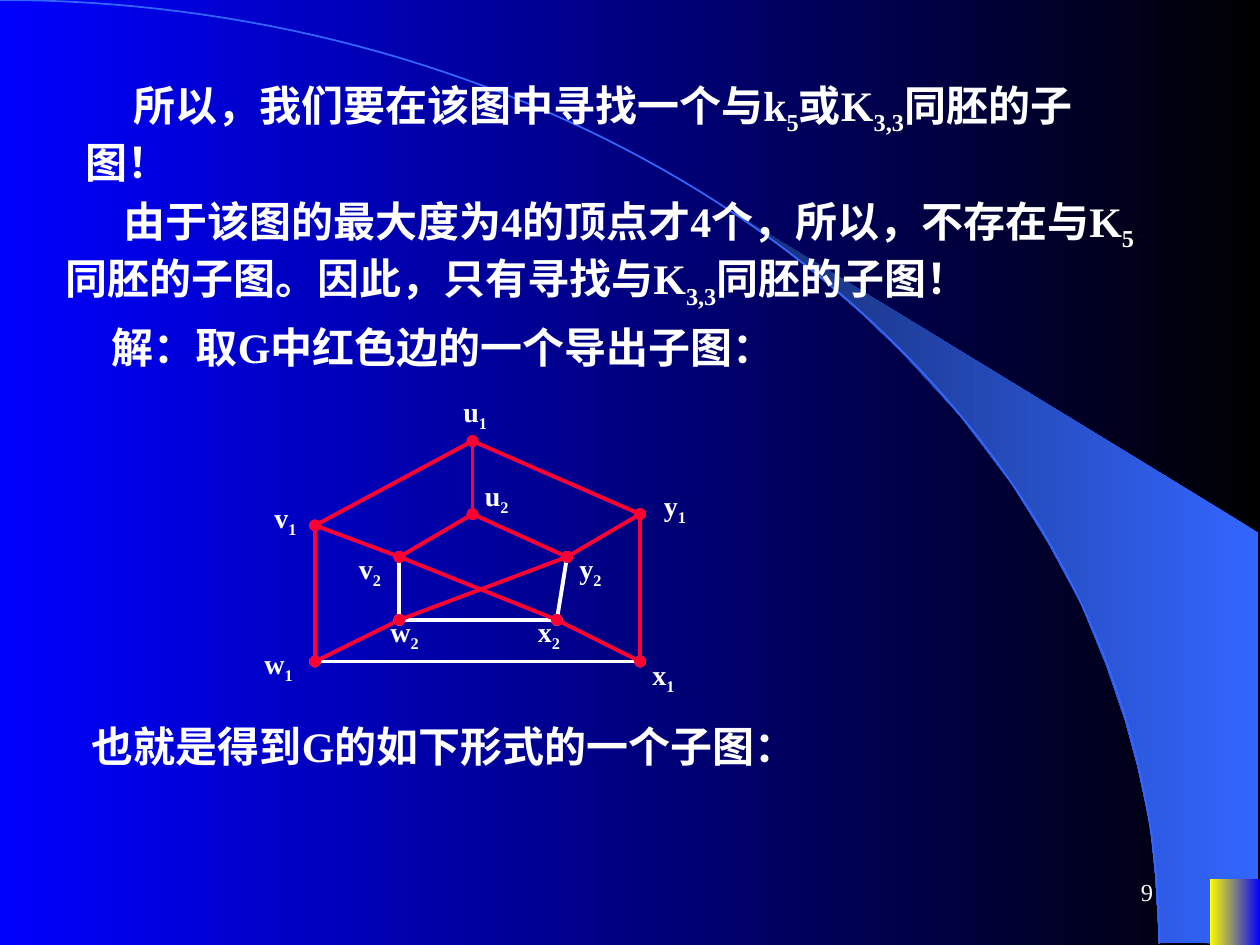
from math import cos, pi, sin

from lxml.etree import SubElement
from pptx import Presentation
from pptx.dml.color import RGBColor
from pptx.enum.shapes import MSO_CONNECTOR, MSO_SHAPE
from pptx.enum.text import MSO_ANCHOR, PP_ALIGN
from pptx.oxml.ns import qn
from pptx.util import Inches, Pt

WHITE, RED, BLUE = "FFFFFF", "FF0033", "3366FF"

VERTICES = {
    "u1": (1.75, 0.42), "u2": (1.75, 1), "v1": (0.5, 1.09), "v2": (1.17, 1.34),
    "w1": (0.5, 2.17), "w2": (1.17, 1.84), "x1": (3.08, 2.17), "x2": (2.42, 1.84),
    "y1": (3.08, 1), "y2": (2.5, 1.34),
}
LABELS = {
    "u1": (1.58, 0), "u2": (1.75, 0.67), "v1": (0.08, 0.84), "v2": (0.75, 1.25),
    "y1": (3.17, 0.75), "y2": (2.5, 1.25), "x1": (3.08, 2.09), "x2": (2.17, 1.75),
    "w1": (0, 2), "w2": (1, 1.75),
}
EDGES = [
    (WHITE, "w1-x1 v2-w2 w2-x2 y2-x2"),
    (RED, "u1-v1 u1-y1 v1-w1 y1-x1 u2-v2 u2-y2 y1-y2 y2-w2 w2-w1 v1-v2 v2-x2 x2-x1 u1-u2"),
]
BEAM = [
    (3.31, 5.75), (4.1, 5.76), (4.1, 2.5), (0, 0), (0.35, 0.26), (0.64, 0.49),
    (0.96, 0.77), (1.27, 1.07), (1.73, 1.57), (2.14, 2.11), (2.43, 2.58),
    (2.69, 3.06), (2.89, 3.55), (3.04, 3.99), (3.14, 4.36), (3.24, 4.83), (3.28, 5.23),
]
STATEMENTS = [
    ((0.58, 0.58, 8.25, 0.96), 0.38,
     ["所以，我们要在该图中寻找一个与k", "5", "或K", "3,3", "同胚的子图！"]),
    ((0.42, 1.5, 8.75, 0.96), 0.46,
     ["由于该图的最大度为4的顶点才4个，所以，不存在与K", "5",
      "同胚的子图。因此，只有寻找与K", "3,3", "同胚的子图！"]),
    ((0.33, 2.5, 8.75, 0.5), 0.46, ["解：取G中红色边的一个导出子图："]),
    ((0.17, 5.67, 8.75, 0.5), 0.46, ["也就是得到G的如下形式的一个子图："]),
]


def rgb(value):
    return RGBColor.from_string(value)


def inches(values):
    return [Inches(v) for v in values]


def set_gradient(fill, colors):
    fill.gradient()
    fill.gradient_angle = 180
    for stop, color in zip(fill.gradient_stops, colors):
        stop.color.rgb = rgb(color)


def add_text(shapes, box, pieces, size, bold=True, indent=0):
    sp = shapes.add_textbox(*inches(box))
    tf = sp.text_frame
    tf.word_wrap = True
    p = tf.paragraphs[0]
    if indent:
        p._p.get_or_add_pPr().set("indent", str(Inches(indent)))
    for i, piece in enumerate(pieces):
        r = p.add_run()
        r.text = piece
        formats = {"name": "Times New Roman", "size": Pt(size), "bold": bold}
        for name, value in formats.items():
            setattr(r.font, name, value)
        r.font.color.rgb = rgb(WHITE)
        if i % 2:
            r.font._element.set("baseline", "-25000")
    return tf


def add_outline(shapes, box, points, close):
    left, top = box[:2]
    start, *rest = [inches((left + x, top + y)) for x, y in points]
    builder = shapes.build_freeform(*start)
    builder.add_line_segments(rest, close=close)
    sp = builder.convert_to_shape()
    sp.shadow.inherit = False
    return sp


def add_backdrop(s, box):
    left, top, width, height = box
    set_gradient(s.background.fill, ("000000", "0000FF"))

    beam = add_outline(s.shapes, (left + 5.89, top + 1.73), BEAM, True)
    set_gradient(beam.fill, (BLUE, "172F75"))
    beam.line.fill.background()

    steps = 80
    angles = [pi / 2 * i / steps for i in range(steps + 1)]
    curve = [(9.2 * sin(a), 7.49 * (1 - cos(a))) for a in angles]
    arc = add_outline(s.shapes, box, curve, False)
    arc.fill.background()
    arc.line.color.rgb = rgb(BLUE)
    arc.line.width = Pt(1)

    corner = s.shapes.add_shape(
        MSO_SHAPE.RECTANGLE, *inches((left + width - 0.4, top + height - 0.52, 0.4, 0.52)))
    corner.shadow.inherit = False
    set_gradient(corner.fill, ("0000FF", "FFFF00"))
    corner.line.fill.background()


def add_edge(shapes, start, end, color):
    line = shapes.add_connector(MSO_CONNECTOR.STRAIGHT, *inches(start + end))
    line.line.color.rgb = rgb(color)
    line.line.width = Pt(2.25)
    ln = line.line._get_or_add_ln()
    for tag in ("a:headEnd", "a:tailEnd"):
        SubElement(ln, qn(tag)).set("type", "oval")
    SubElement(line._element.spPr, qn("a:effectLst"))


def add_graph(s, box):
    left, top = box[:2]
    shapes = s.shapes.add_group_shape().shapes
    points = {name: (left + x, top + y) for name, (x, y) in VERTICES.items()}
    for color, pairs in EDGES:
        for pair in pairs.split():
            a, b = pair.split("-")
            add_edge(shapes, points[a], points[b], color)
    for name, (x, y) in LABELS.items():
        width = 0.5 if name[0] == "w" else 0.43
        add_text(shapes, (left + x, top + y, width, 0.41), name, 16)


def add_page_number(s, box):
    tf = add_text(s.shapes, box, ["9"], 14, bold=False)
    tf.vertical_anchor = MSO_ANCHOR.MIDDLE
    tf.paragraphs[0].alignment = PP_ALIGN.RIGHT


def main():
    prs = Presentation()
    prs.slide_width, prs.slide_height = Inches(10), Inches(7.5)
    s = prs.slides.add_slide(prs.slide_layouts[6])
    add_backdrop(s, (0, 0, 10, 7.5))
    add_graph(s, (2, 3.08, 3.6, 2.5))
    for box, indent, pieces in STATEMENTS:
        add_text(s.shapes, box, pieces, 24, indent=indent)
    add_page_number(s, (7.17, 6.83, 2.08, 0.5))
    prs.save("out.pptx")


if __name__ == "__main__":
    main()
